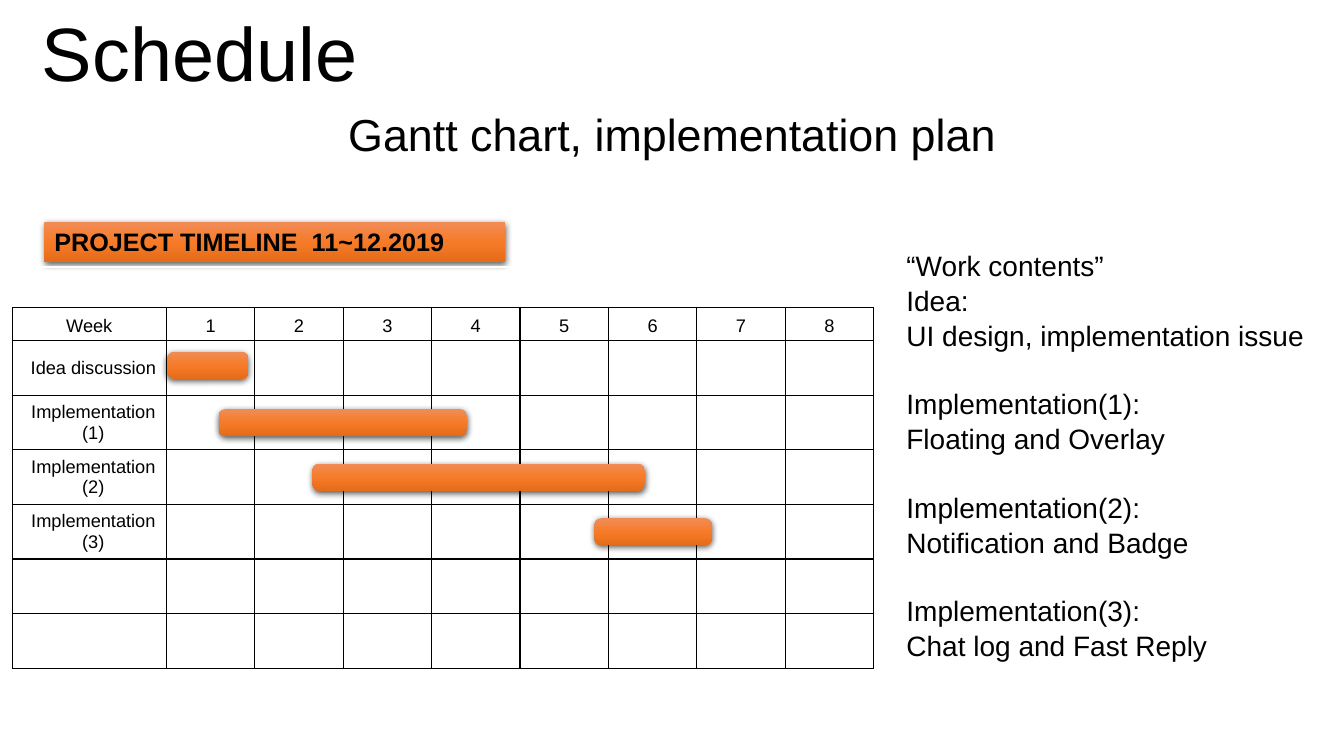
"""Build a project schedule slide with a Gantt grid and work notes."""
from copy import deepcopy
from lxml.etree import SubElement
from pptx import Presentation
from pptx.dml.color import RGBColor
from pptx.enum.shapes import MSO_CONNECTOR as Link, MSO_SHAPE as Shape
from pptx.enum.text import MSO_ANCHOR as Anchor, MSO_AUTO_SIZE as Fit, PP_ALIGN as Align
from pptx.oxml import parse_xml
from pptx.oxml.ns import nsdecls, qn
from pptx.util import Inches, Pt

BLACK = RGBColor(0x00, 0x00, 0x00)
WHITE = RGBColor(0xFF, 0xFF, 0xFF)
LIGHT = RGBColor(0xF1, 0x8C, 0x57)
ORANGE = RGBColor(0xF6, 0x7B, 0x28)
DARK = RGBColor(0xE5, 0x6C, 0x19)

deck = Presentation()
deck.slide_width, deck.slide_height = Inches(13.33), Inches(7.5)
X, Y = deck.slide_width / 100, deck.slide_height / 100
slide = deck.slides.add_slide(deck.slide_layouts[1])
shapes = slide.shapes


def style(para, size, align=Align.LEFT, bold=False):
    """Set the font and alignment of a paragraph."""
    font = para.font
    font.name, font.size, font.bold = "Arial", Pt(size), bold
    font.color.rgb = BLACK
    para.alignment = align


def add_bar(kind, left, top, width, height):
    """Add an orange bar with a gradient and a soft shadow."""
    bar = shapes.add_shape(kind, int(left), int(top), int(width), int(height))
    bar.fill.gradient()
    bar.fill.gradient_angle = 270
    props = bar._element.spPr
    stops = props.find(".//" + qn("a:gsLst"))
    stops.insert(1, deepcopy(stops[0]))
    for stop, place, color in zip(bar.fill.gradient_stops, (0, 0.5, 1), (LIGHT, ORANGE, DARK)):
        stop.position, stop.color.rgb = place, color
    bar.line.fill.background()
    bar.shadow.inherit = False
    props.find(qn("a:effectLst")).append(parse_xml(
        f'<a:outerShdw {nsdecls("a")} blurRad="{Pt(4.5)}" dist="{Pt(1.5)}" dir="5400000" '
        'rotWithShape="0"><a:srgbClr val="000000"><a:alpha val="63000"/></a:srgbClr></a:outerShdw>'))
    return bar


title, body = slide.placeholders
sub = shapes.add_textbox(0, 0, 0, 0)
for box, left, top, width, height in [
    (title, 2.25, 0, 25.2, 13.47),
    (sub, 24.98, 13.47, 50.1, 8.53),
    (body, 66.69, 32, 31.36, 55.2),
]:
    box.left, box.top = int(left * X), int(top * Y)
    box.width, box.height = int(width * X), int(height * Y)
    box.text_frame.auto_size = Fit.NONE
for box, text, size in [(title, "Schedule", 54), (sub, "Gantt chart, implementation plan", 32)]:
    frame = box.text_frame
    frame.text, frame.word_wrap = text, False
    frame.vertical_anchor = Anchor.MIDDLE
    style(frame.paragraphs[0], size, Align.CENTER)

LEFT, TOP = 0.9 * X, 40.67 * Y
LABEL, WEEK = 11.48 * X, 6.58 * X
HEAD, ROW = 4.4 * Y, 7.22 * Y
WEEKS, TASKS = 8, 6
BAR = 3.6 * Y
plan = [
    ("Idea discussion", 0.01, 0.92, 0.05),
    ("Implementation(1)", 0.59, 2.81, 0),
    ("Implementation (2)", 1.65, 3.76, 0),
    ("Implementation (3)", 4.84, 1.33, 0),
]
grid = shapes.add_table(TASKS + 1, WEEKS + 1, int(LEFT), int(TOP),
                        int(LABEL + WEEKS * WEEK), int(HEAD + TASKS * ROW)).table
grid.first_row = grid.horz_banding = False
for n, col in enumerate(grid.columns):
    col.width = int(WEEK if n else LABEL)
for n, row in enumerate(grid.rows):
    row.height = int(ROW if n else HEAD)
for n in range(WEEKS + 1):
    grid.cell(0, n).text = str(n) if n else "Week"
for n, (task, *_) in enumerate(plan, 1):
    grid.cell(n, 0).text = task
for r, row in enumerate(grid.rows):
    for cell in row.cells:
        cell.margin_top = cell.margin_bottom = Inches(0.04)
        cell.vertical_anchor = Anchor.MIDDLE if r else Anchor.BOTTOM
        para = cell.text_frame.paragraphs[0]
        style(para, 13, Align.CENTER)
        if r:
            para._p.get_or_add_pPr().set("marL", str(Inches(0.08)))
        else:
            para.space_before = Pt(2.6)
        props = cell._tc.get_or_add_tcPr()
        for side in "LRTB":
            edge = SubElement(props, qn("a:ln" + side), w=str(Pt(1)))
            paint = SubElement(edge, qn("a:solidFill"))
            SubElement(paint, qn("a:srgbClr"), val=str(BLACK))
        cell.fill.solid()
        cell.fill.fore_color.rgb = WHITE

label = add_bar(Shape.RECTANGLE, 3.3 * X, 29.33 * Y, 34.28 * X, 5.33 * Y)
label.text_frame.text = "PROJECT TIMELINE  11~12.2019"
style(label.text_frame.paragraphs[0], 18, bold=True)

rule = shapes.add_connector(Link.STRAIGHT, int(2.25 * X), int(35.33 * Y), int(61.97 * X), int(35.33 * Y))
rule.line.color.rgb, rule.line.width = WHITE, Pt(1.5)
SubElement(rule._element.spPr, qn("a:effectLst"))

for n, (_, start, span, lift) in enumerate(plan):
    top = TOP + HEAD + (n - lift) * ROW + (ROW - BAR) / 2
    bar = add_bar(Shape.ROUNDED_RECTANGLE, LEFT + LABEL + start * WEEK, top, span * WEEK, BAR)
    bar.adjustments[0] = 0.27

notes = [
    ("“Work contents”", 0),
    ("Idea:", 0),
    ("UI design, implementation issue", 0),
    ("Implementation(1): \vFloating and Overlay", 24),
    ("Implementation(2): \vNotification and Badge", 24),
    ("Implementation(3): \vChat log and Fast Reply", 24),
]
frame = body.text_frame
frame.word_wrap = True
frame.text = "\n".join(text for text, _ in notes)
for para, (_, gap) in zip(frame.paragraphs, notes):
    style(para, 20)
    para.space_before, para.line_spacing = Pt(gap), 1.04
    props = para._p.get_or_add_pPr()
    props.set("marL", "0")
    props.set("indent", "0")
    props.insert_element_before(parse_xml(f'<a:buNone {nsdecls("a")}/>'), "a:tabLst", "a:defRPr", "a:extLst")

deck.save("out.pptx")
